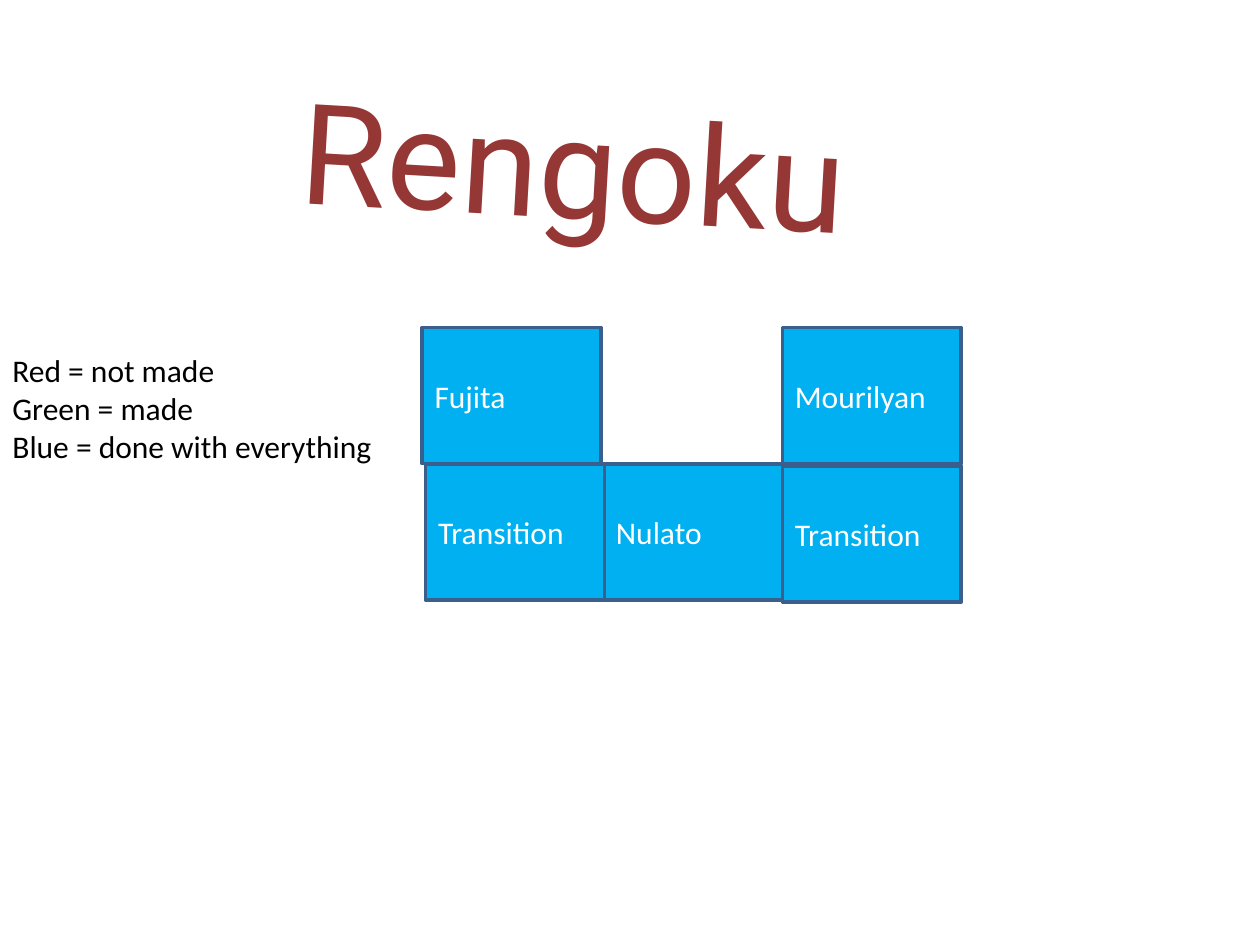
from pptx import Presentation
from pptx.dml.color import RGBColor
from pptx.enum.shapes import MSO_SHAPE
from pptx.enum.text import MSO_ANCHOR, MSO_AUTO_SIZE, PP_ALIGN
from pptx.util import Pt

COLORS = {"title": "953735", "tile": "00B0F0", "edge": "3A5F8C",
          "light": "FFFFFF", "dark": "000000"}


def color(name):
    """Look up a named colour."""
    return RGBColor.from_string(COLORS[name])


def write(frame, lines, size, face, tint, align=PP_ALIGN.LEFT):
    """Fill a text frame with one paragraph per line."""
    frame.text = "\n".join(lines)
    for para in frame.paragraphs:
        para.alignment = align
        para.font.size = Pt(size)
        para.font.name = face
        para.font.color.rgb = color(tint)


def add_title(slide, left, top, width, height):
    """Place the tilted title in its box."""
    box = slide.shapes.add_textbox(Pt(left), Pt(top), Pt(width), Pt(height))
    box.rotation = 3.4
    frame = box.text_frame
    frame.word_wrap = True
    frame.auto_size = MSO_AUTO_SIZE.SHAPE_TO_FIT_TEXT
    write(frame, ["Rengoku"], 80, "Roboto", "title", PP_ALIGN.CENTER)


def add_key(slide, left, top, width, height):
    """Place the colour key in its box."""
    box = slide.shapes.add_textbox(Pt(left), Pt(top), Pt(width), Pt(height))
    frame = box.text_frame
    frame.word_wrap = False
    frame.auto_size = MSO_AUTO_SIZE.SHAPE_TO_FIT_TEXT
    lines = ["Red = not made", "Green = made", "Blue = done with everything"]
    write(frame, lines, 18, "Calibri", "dark")


def add_tile(slide, left, top, width, height, label):
    """Place one labelled map tile."""
    tile = slide.shapes.add_shape(MSO_SHAPE.RECTANGLE, Pt(left), Pt(top),
                                  Pt(width), Pt(height))
    tile.shadow.inherit = False
    tile.fill.solid()
    tile.fill.fore_color.rgb = color("tile")
    tile.line.color.rgb = color("edge")
    tile.line.width = Pt(2)
    tile.text_frame.vertical_anchor = MSO_ANCHOR.MIDDLE
    write(tile.text_frame, [label], 18, "Calibri", "light")


def add_map(slide, left, top, width, height):
    """Place the map tiles in a grid of three columns and two rows."""
    wide, high = width / 3, height / 2
    # Label, column, row, and small shifts from the grid
    tiles = [("Mourilyan", 2, 0, 0, 0), ("Nulato", 1, 1, 0, 0),
             ("Fujita", 0, 0, -1.5, 0), ("Transition", 0, 1, 0.5, 0),
             ("Transition", 2, 1, 0, 1.2)]
    for label, col, row, right, down in tiles:
        add_tile(slide, left + col * wide + right, top + row * high + down,
                 wide, high, label)


def main():
    """Build and save the slide."""
    deck = Presentation()
    deck.slide_width, deck.slide_height = Pt(720), Pt(540)
    slide = deck.slides.add_slide(deck.slide_layouts[6])
    add_title(slide, 95.8, 41.8, 464.4, 104.4)
    add_map(slide, 242.7, 187.2, 306.6, 155.6)
    add_key(slide, 0, 197.3, 222.5, 72.7)
    deck.save("out.pptx")


main()
